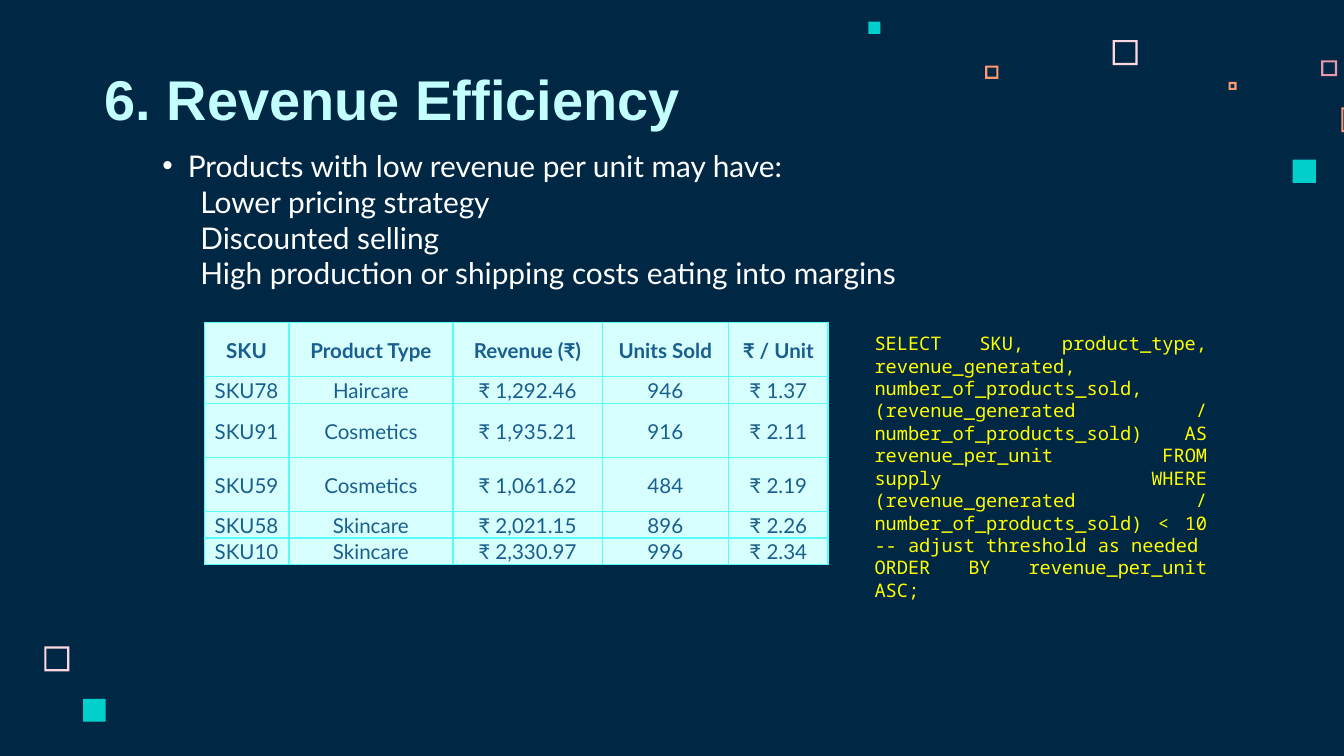
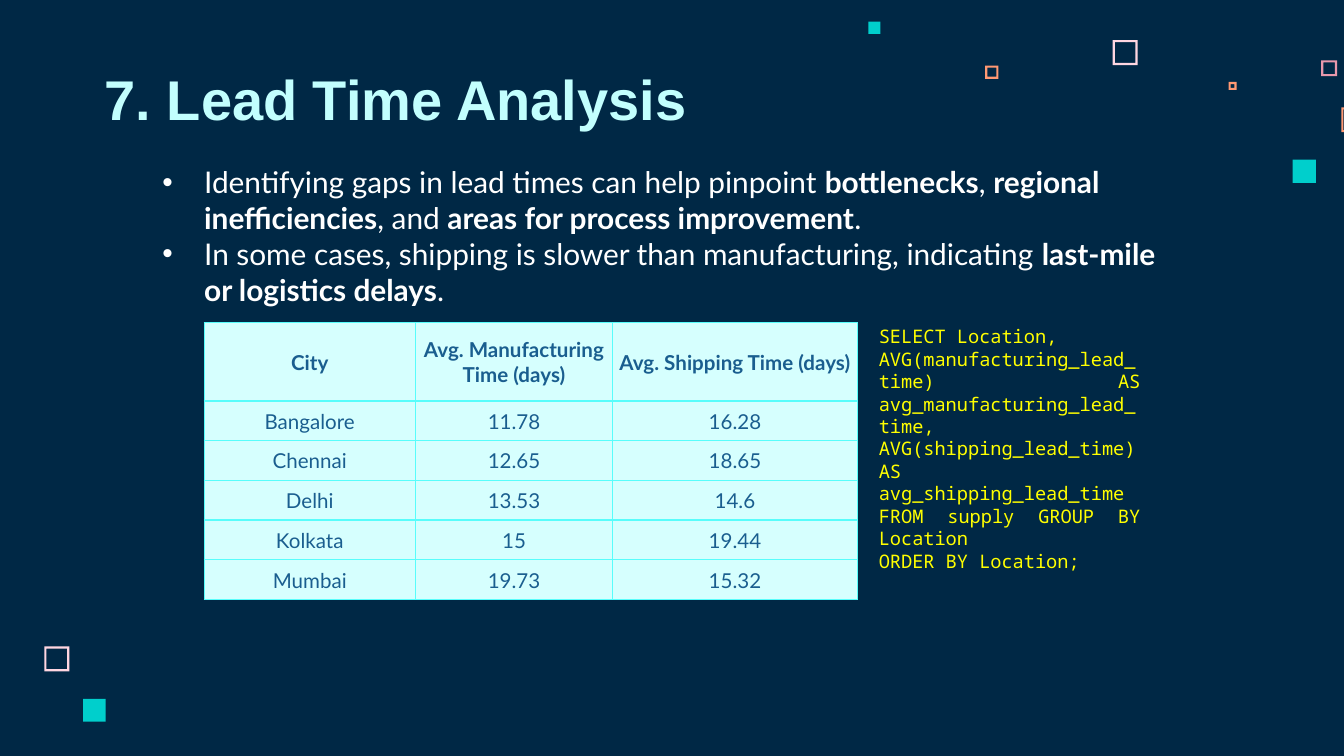
from copy import deepcopy
from dataclasses import dataclass

from lxml.etree import SubElement
from pptx import Presentation
from pptx.dml.color import RGBColor
from pptx.enum.shapes import MSO_SHAPE
from pptx.enum.text import MSO_ANCHOR, PP_ALIGN
from pptx.oxml.ns import qn
from pptx.util import Cm, Pt


@dataclass(frozen=True)
class Theme:
    background: str = "002845"
    title: str = "C2FFFE"
    body: str = "FFFFFF"
    code: str = "FFFF00"
    cell_fill: str = "D6FFFE"
    cell_text: str = "1A5E8F"
    border: str = "58FDFB"
    teal: str = "00CFCC"
    blush: str = "FFD6E1"
    rose: str = "E898AC"
    orange: str = "FF9973"
    title_font: str = "Arial"
    body_font: str = "Lato"
    code_font: str = "Noto Sans Mono"
    title_size: int = 30
    body_size: int = 16
    cell_size: int = 11
    code_size: int = 10


T = Theme()

# Content: "**" switches bold on and off, "\v" breaks a line;
# body lines are (text, has bullet), boxes are left, top, width, height in cm
SLIDES = [
    {
        "title": "6. Revenue Efficiency",
        "body": [
            ("Products with low revenue per unit may have:", True),
            ("Lower pricing strategy", False),
            ("Discounted selling", False),
            ("High production or shipping costs eating into margins", False),
        ],
        "body_box": (2.82, 2.79, 17.22, 3.35),
        "body_top": 0,
        "body_align": PP_ALIGN.JUSTIFY,
        "bullet_indent": 0.48,
        "table": [
            ("SKU", "Product Type", "Revenue (₹)", "Units Sold", "₹ / Unit"),
            ("SKU78", "Haircare", "₹ 1,292.46", "946", "₹ 1.37"),
            ("SKU91", "Cosmetics", "₹ 1,935.21", "916", "₹ 2.11"),
            ("SKU59", "Cosmetics", "₹ 1,061.62", "484", "₹ 2.19"),
            ("SKU58", "Skincare", "₹ 2,021.15", "896", "₹ 2.26"),
            ("SKU10", "Skincare", "₹ 2,330.97", "996", "₹ 2.34"),
        ],
        "cols": (1.6, 3.1, 2.82, 2.39, 1.88),
        "rows": (1.02, 0.51, 1.02, 1.02, 0.5, 0.5),
        "code": [
            "SELECT SKU, product_type, revenue_generated, number_of_products_sold,",
            "(revenue_generated / number_of_products_sold) AS revenue_per_unit FROM\v"
            "supply WHERE\v(revenue_generated / number_of_products_sold) < 10 "
            "-- adjust threshold as needed",
            "ORDER BY revenue_per_unit ASC;",
        ],
        "code_box": (16.28, 6.15, 6.78, 5.38),
    },
    {
        "title": "7. Lead Time Analysis",
        "body": [
            ("Identifying gaps in lead times can help pinpoint **bottlenecks**, "
             "**regional inefficiencies**, and **areas for process improvement**.", True),
            ("In some cases, shipping is slower than manufacturing, indicating "
             "**last-mile or logistics delays**.", True),
        ],
        "body_box": (2.82, 2.97, 19.74, 3),
        "body_top": 0.13,
        "body_align": PP_ALIGN.LEFT,
        "bullet_indent": 0.79,
        "table": [
            ("City", "Avg. Manufacturing Time (days)", "Avg. Shipping Time (days)"),
            ("Bangalore", "11.78", "16.28"),
            ("Chennai", "12.65", "18.65"),
            ("Delhi", "13.53", "14.6"),
            ("Kolkata", "15", "19.44"),
            ("Mumbai", "19.73", "15.32"),
        ],
        "cols": (3.99, 3.73, 4.62),
        "rows": (1.48,) + (0.75,) * 5,
        "code": [
            "SELECT Location,",
            "AVG(manufacturing_lead_time) AS avg_manufacturing_lead_time,",
            "AVG(shipping_lead_time) AS avg_shipping_lead_time",
            "FROM supply GROUP BY Location",
            "ORDER BY Location;",
        ],
        "code_box": (16.36, 6.02, 5.44, 4.95),
    },
]

# Scattered squares: left, top, side, colour
FRAMES = [
    (21.03, 0.76, 0.47, T.blush),
    (24.97, 1.14, 0.3, T.rose),
    (23.22, 1.55, 0.15, T.orange),
    (25.35, 2.03, 0.47, T.orange),
    (18.62, 1.24, 0.25, T.orange),
    (0.84, 12.22, 0.47, T.blush),
]
BLOCKS = [
    (24.43, 3.02, 0.44, T.teal),
    (16.41, 0.41, 0.23, T.teal),
    (1.57, 13.21, 0.43, T.teal),
]
FRAME_LINE = 0.04
TITLE_BOX = (1.73, 1.14, 16.54, 1.6)
TABLE_LEFT, TABLE_TOP = 3.86, 6.1
SUBLINE_INDENT = 0.72

TITLE = {"name": T.title_font, "size": Pt(T.title_size), "bold": True, "color": T.title}
BODY = {"name": T.body_font, "size": Pt(T.body_size), "color": T.body}
CELL = {"name": T.body_font, "size": Pt(T.cell_size), "color": T.cell_text}
CODE = {"name": T.code_font, "size": Pt(T.code_size), "color": T.code}


def set_attrs(obj, **values):
    for name, value in values.items():
        setattr(obj, name, value)


def write(p, text, style, align=PP_ALIGN.LEFT):
    p.alignment = align
    for i, part in enumerate(text.split("**")):
        for j, line in enumerate(part.split("\v")):
            if j:
                p.add_line_break()
            r = p.add_run()
            r.text = line
            for name, value in {"bold": i % 2 == 1, **style}.items():
                if name == "color":
                    r.font.color.rgb = RGBColor.from_string(value)
                else:
                    setattr(r.font, name, value)
    # Breaks take the type size of the text around them
    for br in p._p.findall(qn("a:br")):
        br.append(deepcopy(p.runs[0]._r.rPr))


def add_text(s, box, lines, style, align=PP_ALIGN.LEFT, **frame):
    tf = s.shapes.add_textbox(*map(Cm, box)).text_frame
    set_attrs(tf, word_wrap=True, **frame)
    for i, line in enumerate(lines):
        write(tf.add_paragraph() if i else tf.paragraphs[0], line, style, align)
    return tf


def set_indent(p, indent, bullet):
    pPr = p._p.get_or_add_pPr()
    pPr.set("marL", str(Cm(indent)))
    pPr.set("indent", str(-Cm(indent) if bullet else 0))
    if bullet:
        SubElement(SubElement(pPr, qn("a:buClr")), qn("a:srgbClr"), val=T.body)
        SubElement(pPr, qn("a:buFont"), typeface="Arial")
        SubElement(pPr, qn("a:buChar"), char="•")


def add_squares(s, kind, squares):
    for left, top, side, color in squares:
        sp = s.shapes.add_shape(kind, *map(Cm, (left, top, side, side)))
        sp.shadow.inherit = False
        sp.fill.solid()
        sp.fill.fore_color.rgb = RGBColor.from_string(color)
        sp.line.fill.background()
        if kind == MSO_SHAPE.FRAME:
            sp.adjustments[0] = FRAME_LINE / side


def format_cell(cell):
    set_attrs(cell, vertical_anchor=MSO_ANCHOR.MIDDLE, margin_left=Cm(0.02),
              margin_right=Cm(0.02), margin_top=Cm(0.02), margin_bottom=0)
    tcPr = cell._tc.get_or_add_tcPr()
    for side in ("lnL", "lnR", "lnT", "lnB"):
        ln = SubElement(tcPr, qn(f"a:{side}"), w=str(Pt(0.75)))
        SubElement(SubElement(ln, qn("a:solidFill")), qn("a:srgbClr"), val=T.border)
    cell.fill.solid()
    cell.fill.fore_color.rgb = RGBColor.from_string(T.cell_fill)


def add_data_table(s, data, cols, rows):
    box = (TABLE_LEFT, TABLE_TOP, sum(cols), sum(rows))
    table = s.shapes.add_table(len(rows), len(cols), *map(Cm, box)).table
    table.horz_banding = False
    for col, width in zip(table.columns, cols):
        col.width = Cm(width)
    for i, (row, height) in enumerate(zip(table.rows, rows)):
        row.height = Cm(height)
        for cell, text in zip(row.cells, data[i]):
            format_cell(cell)
            write(cell.text_frame.paragraphs[0], text, {**CELL, "bold": i == 0},
                  PP_ALIGN.CENTER)


def add_slide(prs, content):
    s = prs.slides.add_slide(prs.slide_layouts[6])
    # Shared decoration and title
    add_squares(s, MSO_SHAPE.FRAME, FRAMES)
    add_squares(s, MSO_SHAPE.RECTANGLE, BLOCKS)
    add_text(s, TITLE_BOX, [content["title"]], TITLE,
             vertical_anchor=MSO_ANCHOR.BOTTOM,
             margin_top=Cm(0.25), margin_bottom=Cm(0.25))
    # Findings
    body = content["body"]
    tf = add_text(s, content["body_box"], [text for text, _ in body], BODY,
                  content["body_align"], margin_top=Cm(content["body_top"]))
    for p, (_, bullet) in zip(tf.paragraphs, body):
        set_indent(p, content["bullet_indent"] if bullet else SUBLINE_INDENT, bullet)
    # Result table and its query
    add_data_table(s, content["table"], content["cols"], content["rows"])
    add_text(s, content["code_box"], content["code"], CODE, PP_ALIGN.JUSTIFY)


def main():
    prs = Presentation()
    set_attrs(prs, slide_width=Cm(25.4), slide_height=Cm(14.29))
    fill = prs.slide_master.background.fill
    fill.solid()
    fill.fore_color.rgb = RGBColor.from_string(T.background)
    for content in SLIDES:
        add_slide(prs, content)
    prs.save("out.pptx")


if __name__ == "__main__":
    main()
